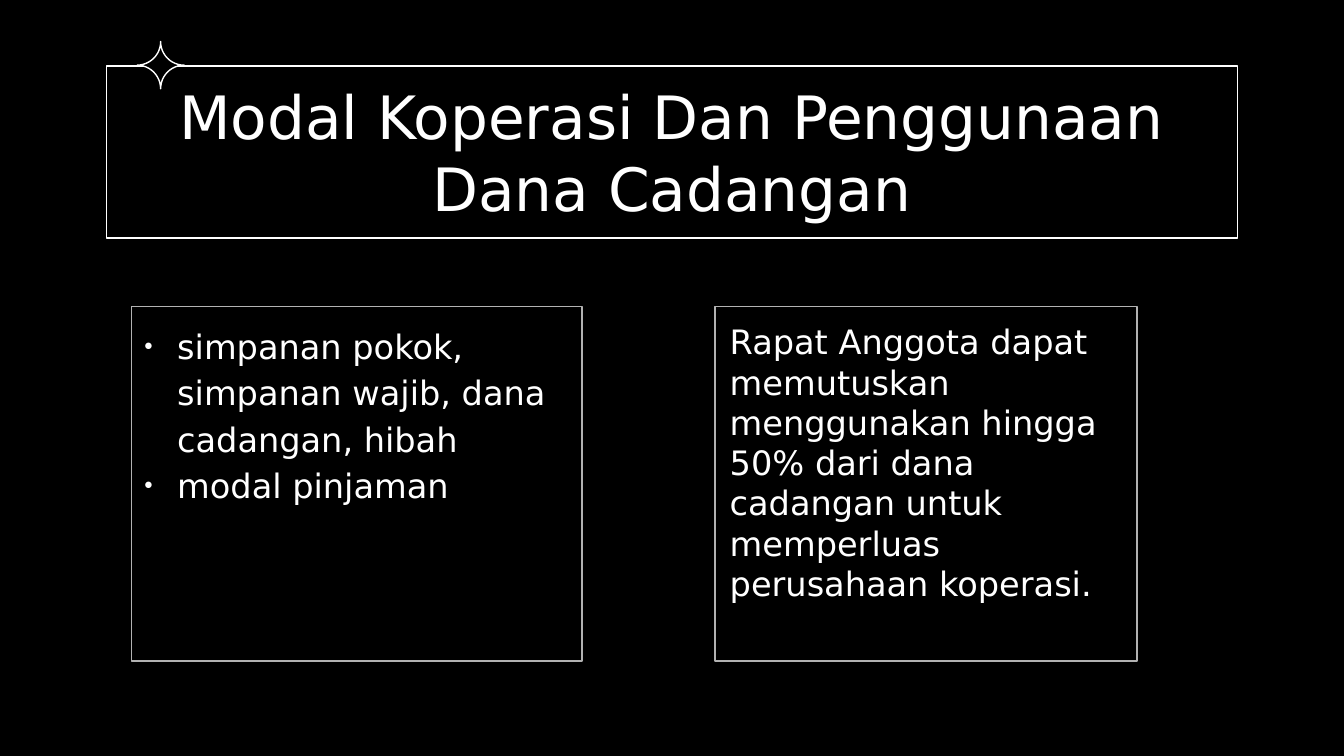
from dataclasses import dataclass

from lxml import etree
from pptx import Presentation
from pptx.dml.color import RGBColor
from pptx.enum import shapes, text
from pptx.oxml.ns import qn
from pptx.util import Inches, Pt

COLORS = {"black": "000000", "white": "FFFFFF", "gray": "B2B2B2"}
FONT = "DejaVu Sans"


@dataclass
class Panel:
    left: float
    top: float
    width: float
    height: float
    paragraphs: list[str]
    size: int = 18
    line: str = "gray"
    weight: float = 0.79
    inset: float = 0.1
    align: text.PP_ALIGN = text.PP_ALIGN.LEFT
    anchor: text.MSO_ANCHOR = text.MSO_ANCHOR.TOP
    bullets: bool = False


def rgb(name: str) -> RGBColor:
    return RGBColor.from_string(COLORS[name])


def add_bullet(p) -> None:
    pPr = p._p.get_or_add_pPr()
    pPr.set("marL", str(Inches(0.24)))
    pPr.set("indent", str(-Inches(0.24)))
    color = etree.SubElement(pPr, qn("a:buClr"))
    etree.SubElement(color, qn("a:srgbClr"), val=COLORS["white"])
    etree.SubElement(pPr, qn("a:buSzPct"), val="25000")
    etree.SubElement(pPr, qn("a:buFont"), typeface=FONT)
    etree.SubElement(pPr, qn("a:buChar"), char="●")
    p.line_spacing = 1.15


def add_outline(s, kind, left: float, top: float, width: float, height: float, line: str, weight: float):
    sp = s.shapes.add_shape(kind, Inches(left), Inches(top), Inches(width), Inches(height))
    sp.shadow.inherit = False
    sp.line.color.rgb = rgb(line)
    sp.line.width = Pt(weight)
    sp.fill.background()
    return sp


def add_panel(s, panel: Panel) -> None:
    sp = add_outline(s, shapes.MSO_SHAPE.RECTANGLE, panel.left, panel.top,
                     panel.width, panel.height, panel.line, panel.weight)
    tf = sp.text_frame
    tf.word_wrap = True
    tf.vertical_anchor = panel.anchor
    tf.margin_left = tf.margin_right = Inches(panel.inset)
    tf.margin_top = tf.margin_bottom = Inches(panel.inset)
    for i, words in enumerate(panel.paragraphs):
        p = tf.add_paragraph() if i else tf.paragraphs[0]
        p.alignment = panel.align
        if panel.bullets:
            add_bullet(p)
        r = p.add_run()
        r.text = words
        r.font.name = FONT
        r.font.size = Pt(panel.size)
        r.font.color.rgb = rgb("white")


def add_star(s) -> None:
    sp = add_outline(s, shapes.MSO_SHAPE.PLAQUE, 1.02, 0.31, 0.35, 0.35, "white", 0.75)
    sp.adjustments[0] = 0.5
    sp.fill.solid()
    sp.fill.fore_color.rgb = rgb("black")


PANELS = [
    Panel(0.79, 0.49, 8.42, 1.28, ["Modal Koperasi Dan Penggunaan Dana Cadangan"],
          size=32, line="white", weight=0.75,
          align=text.PP_ALIGN.CENTER, anchor=text.MSO_ANCHOR.MIDDLE),
    Panel(5.32, 2.28, 3.14, 2.64,
          ["Rapat Anggota dapat memutuskan menggunakan hingga 50% "
           "dari dana cadangan untuk memperluas perusahaan koperasi."],
          inset=0.11),
    Panel(0.98, 2.28, 3.35, 2.64,
          ["simpanan pokok, simpanan wajib, dana cadangan, hibah", "modal pinjaman"],
          weight=0, bullets=True),
]


def main() -> None:
    prs = Presentation()
    prs.slide_width = Inches(10)
    prs.slide_height = prs.slide_width * 9 // 16
    s = prs.slides.add_slide(prs.slide_layouts[6])
    s.background.fill.solid()
    s.background.fill.fore_color.rgb = rgb("black")
    for panel in PANELS:
        add_panel(s, panel)
    add_star(s)
    prs.save("out.pptx")


if __name__ == "__main__":
    main()
